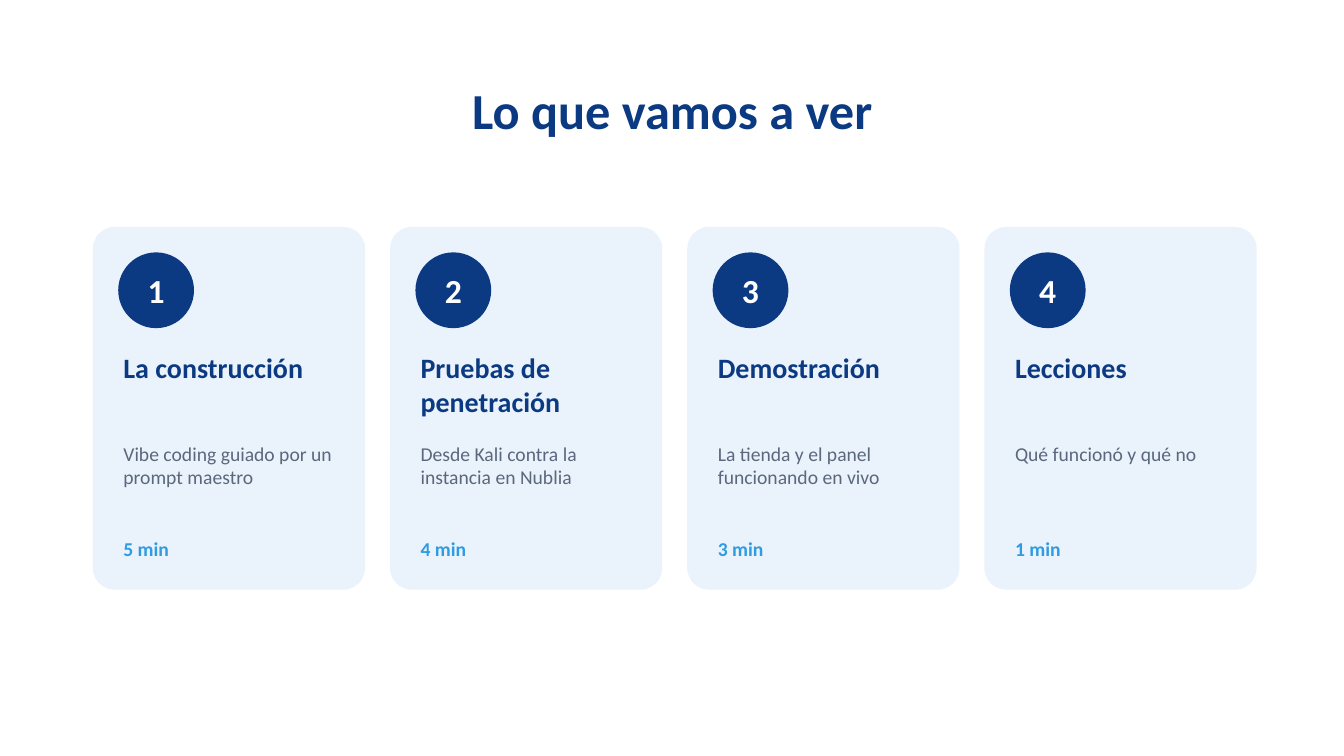
"""Build the agenda slide: a title over four numbered cards."""
import dataclasses

import pptx
import pptx.dml.color
import pptx.enum.shapes
import pptx.enum.text
import pptx.shapes.autoshape
import pptx.slide
import pptx.text.text
import pptx.util

Cm = pptx.util.Cm
SHAPES = pptx.enum.shapes.MSO_SHAPE
ALIGN = pptx.enum.text.PP_ALIGN
MIDDLE = pptx.enum.text.MSO_ANCHOR.MIDDLE

NAVY, SKY, GREY, PALE, WHITE = "0B3A82", "2F9BE0", "5A677D", "EAF2FB", "FFFFFF"
CARD_LEFT, CARD_TOP, CARD_WIDTH, CARD_HEIGHT = 2.34, 5.72, 6.86, 9.14
CARD_PITCH, CARD_PADDING = 7.49, 0.64
BADGE_SIZE = 1.91


@dataclasses.dataclass
class Card:
    heading: str
    summary: str
    duration: str


@dataclasses.dataclass
class Style:
    size: int
    color: str
    bold: bool = True


@dataclasses.dataclass
class Row:
    top: float
    height: float
    style: Style


CARDS = [
    Card("La construcción", "Vibe coding guiado por un prompt maestro", "5 min"),
    Card("Pruebas de penetración", "Desde Kali contra la instancia en Nublia", "4 min"),
    Card("Demostración", "La tienda y el panel funcionando en vivo", "3 min"),
    Card("Lecciones", "Qué funcionó y qué no", "1 min"),
]
HEADING_ROW = Row(8.76, 2.29, Style(20, NAVY))
SUMMARY_ROW = Row(11.05, 2.54, Style(14, GREY, bold=False))
DURATION_ROW = Row(13.46, 1.02, Style(14, SKY))


def rgb(color: str) -> pptx.dml.color.RGBColor:
    return pptx.dml.color.RGBColor.from_string(color)


def write(frame: pptx.text.text.TextFrame, text: str, style: Style,
          align: ALIGN = ALIGN.LEFT) -> None:
    frame.text = text
    paragraph = frame.paragraphs[0]
    paragraph.alignment = align
    paragraph.font.name = "Calibri"
    paragraph.font.size = pptx.util.Pt(style.size)
    paragraph.font.bold = style.bold
    paragraph.font.color.rgb = rgb(style.color)


def set_margins(frame: pptx.text.text.TextFrame, side: float, end: float) -> None:
    frame.margin_left = frame.margin_right = Cm(side)
    frame.margin_top = frame.margin_bottom = Cm(end)


def add_plain_shape(slide: pptx.slide.Slide, kind: SHAPES, left: float, top: float,
                    width: float, height: float, color: str) -> pptx.shapes.autoshape.Shape:
    shape = slide.shapes.add_shape(kind, Cm(left), Cm(top), Cm(width), Cm(height))
    shape.shadow.inherit = False
    shape.fill.solid()
    shape.fill.fore_color.rgb = rgb(color)
    shape.line.fill.background()
    return shape


def add_row(slide: pptx.slide.Slide, left: float, row: Row, text: str) -> None:
    box = slide.shapes.add_textbox(Cm(left), Cm(row.top), Cm(5.84), Cm(row.height))
    frame = box.text_frame
    frame.word_wrap = True
    frame.auto_size = pptx.enum.text.MSO_AUTO_SIZE.SHAPE_TO_FIT_TEXT
    set_margins(frame, 0.13, 0.08)
    write(frame, text, row.style)


def add_card(slide: pptx.slide.Slide, index: int, card: Card) -> None:
    left = CARD_LEFT + index * CARD_PITCH
    panel = add_plain_shape(slide, SHAPES.ROUNDED_RECTANGLE, left, CARD_TOP,
                            CARD_WIDTH, CARD_HEIGHT, PALE)
    panel.adjustments[0] = 0.08
    inner = left + CARD_PADDING
    badge = add_plain_shape(slide, SHAPES.OVAL, inner, CARD_TOP + CARD_PADDING,
                            BADGE_SIZE, BADGE_SIZE, NAVY)
    set_margins(badge.text_frame, 0, 0)
    badge.text_frame.vertical_anchor = MIDDLE
    write(badge.text_frame, str(index + 1), Style(24, WHITE), ALIGN.CENTER)
    add_row(slide, inner, HEADING_ROW, card.heading)
    add_row(slide, inner, SUMMARY_ROW, card.summary)
    add_row(slide, inner, DURATION_ROW, card.duration)


def add_title(slide: pptx.slide.Slide, text: str) -> None:
    title = slide.shapes.title
    title.left, title.top = Cm(CARD_LEFT), Cm(1.02)
    title.width, title.height = Cm(29.21), Cm(3.68)
    title.text_frame.vertical_anchor = MIDDLE
    write(title.text_frame, text, Style(36, NAVY), ALIGN.CENTER)
    title.text_frame.paragraphs[0].line_spacing = 0.9


def main() -> None:
    deck = pptx.Presentation()
    deck.slide_width, deck.slide_height = Cm(33.87), Cm(19.05)
    slide = deck.slides.add_slide(deck.slide_layouts.get_by_name("Title Only"))
    slide.background.fill.solid()
    slide.background.fill.fore_color.rgb = rgb(WHITE)
    add_title(slide, "Lo que vamos a ver")
    for index, card in enumerate(CARDS):
        add_card(slide, index, card)
    deck.save("out.pptx")


if __name__ == "__main__":
    main()
